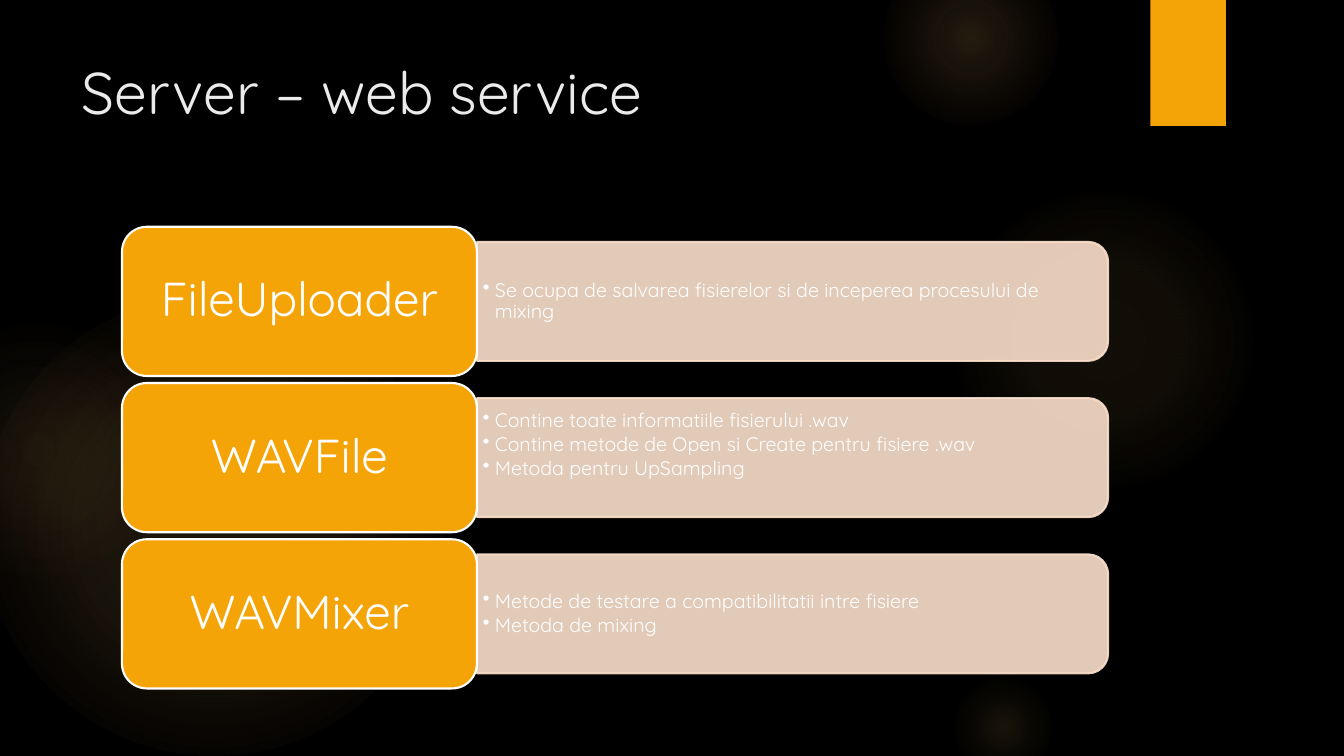
import pptx
import pptx.util
import pptx.dml.color
import pptx.enum.shapes
import pptx.enum.text
import pptx.oxml
import pptx.oxml.ns
from lxml import etree

Inches, Pt = pptx.util.Inches, pptx.util.Pt
SHAPES = pptx.enum.shapes.MSO_SHAPE
ANCHOR, ALIGN = pptx.enum.text.MSO_ANCHOR, pptx.enum.text.PP_ALIGN
FONT = "Quicksand"
COLORS = {"background": "000000", "accent": "F5A408", "panel": "FBE0CC",
          "title": "EBEBEB", "white": "FFFFFF", "glow": "FAC96A", "ember": "F59B74"}

TITLE = "Server – web service"
# Class name, its duties, and extra room kept free below them
CLASSES = [
    ("FileUploader",
     ["Se ocupa de salvarea fisierelor si de inceperea procesului de mixing"], 0),
    ("WAVFile",
     ["Contine toate informatiile fisierului .wav",
      "Contine metode de Open si Create pentru fisiere .wav",
      "Metoda pentru UpSampling"], 0.25),
    ("WAVMixer",
     ["Metode de testare a compatibilitatii intre fisiere", "Metoda de mixing"], 0),
]
# Left, top, diameter, and gradient stops (position %, colour, opacity %)
GLOWS = [
    (-0.17, 2.92, 4.58, [(0, "glow", 11), (36, "glow", 10), (75, "glow", 0)]),
    (-0.92, 3.17, 2.58, [(0, "glow", 8), (36, "glow", 5), (71, "ember", 0)]),
    (9.41, 1.83, 3.08, [(0, "glow", 7), (36, "glow", 6), (69, "glow", 0)]),
    (8.75, -0.5, 1.75, [(0, "glow", 14), (36, "glow", 7), (73, "glow", 0)]),
    (9.41, 6.67, 1.08, [(0, "glow", 10), (31, "glow", 5), (66, "glow", 0)]),
]
LABEL_LEFT, LABEL_TOP, LABEL_WIDTH, LABEL_HEIGHT = 1.21, 2.25, 3.52, 1.48
PANEL_WIDTH, PANEL_HEIGHT = 6.26, 1.18
DUTIES_WIDTH, DUTIES_HEIGHT = 6.2, 1.07
ROW_PITCH = 1.55


def color(name):
    """Return the named colour as an RGBColor."""
    return pptx.dml.color.RGBColor.from_string(COLORS[name])


def add_block(page, kind, left, top, width, height, fill=None, line=None):
    """Add a preset shape without shadow, with optional fill and outline."""
    block = page.shapes.add_shape(kind, Inches(left), Inches(top),
                                  Inches(width), Inches(height))
    block.shadow.inherit = False
    if fill:
        block.fill.solid()
        block.fill.fore_color.rgb = color(fill)
    if line:
        block.line.color.rgb = color(line)
        block.line.width = Pt(1.5)
    else:
        block.line.fill.background()
    return block


def set_opacity(block, percent):
    """Apply one opacity to the fill and outline of a block."""
    for swatch in block.element.spPr.iter(pptx.oxml.ns.qn("a:srgbClr")):
        etree.SubElement(swatch, pptx.oxml.ns.qn("a:alpha"), val=str(percent * 1000))


def add_glow(page, left, top, diameter, stops):
    """Add a circle that fades out from its centre."""
    glow = add_block(page, SHAPES.OVAL, left, top, diameter, diameter)
    stop_xml = "".join(
        f'<a:gs pos="{position * 1000}"><a:srgbClr val="{COLORS[name]}">'
        f'<a:alpha val="{opacity * 1000}"/></a:srgbClr></a:gs>'
        for position, name, opacity in stops)
    gradient = pptx.oxml.parse_xml(
        f'<a:gradFill {pptx.oxml.ns.nsdecls("a")}><a:gsLst>{stop_xml}</a:gsLst>'
        '<a:path path="circle"><a:fillToRect l="50000" t="50000" r="50000" b="50000"/>'
        '</a:path></a:gradFill>')
    glow.element.spPr.find(pptx.oxml.ns.qn("a:prstGeom")).addnext(gradient)


def set_frame(frame, side, edge, anchor, extra_bottom=0):
    """Set wrapping, margins and anchor of a text frame."""
    frame.word_wrap = True
    frame.margin_left = frame.margin_right = Inches(side)
    frame.margin_top = Inches(edge)
    frame.margin_bottom = Inches(edge + extra_bottom)
    frame.vertical_anchor = anchor


def style_text(frame, size, name, align=ALIGN.LEFT, spacing=0.9):
    """Format every paragraph and run of a text frame."""
    for para in frame.paragraphs:
        para.alignment = align
        para.line_spacing = spacing
        for span in para.runs:
            span.font.name = FONT
            span.font.size = Pt(size)
            span.font.color.rgb = color(name)


def add_bullets(frame):
    """Give each paragraph a hanging bullet and a small gap after it."""
    for para in frame.paragraphs:
        para.space_after = Pt(2)
        properties = para._p.get_or_add_pPr()
        properties.set("marL", str(Inches(0.12)))
        properties.set("indent", str(-Inches(0.12)))
        etree.SubElement(properties, pptx.oxml.ns.qn("a:buChar"), char="•")


def add_class_row(page, top, name, duties, extra_bottom):
    """Add one class label with the panel that lists its duties."""
    panel_left = LABEL_LEFT + LABEL_WIDTH
    middle = top + LABEL_HEIGHT / 2
    panel = add_block(page, SHAPES.ROUND_2_SAME_RECTANGLE,
                      panel_left + (PANEL_WIDTH - PANEL_HEIGHT) / 2,
                      middle - PANEL_WIDTH / 2,
                      PANEL_HEIGHT, PANEL_WIDTH, "panel", "panel")
    panel.rotation = 90
    set_opacity(panel, 90)

    box = page.shapes.add_textbox(Inches(panel_left), Inches(middle - DUTIES_HEIGHT / 2),
                                  Inches(DUTIES_WIDTH), Inches(DUTIES_HEIGHT))
    box.text_frame.text = "\n".join(duties)
    set_frame(box.text_frame, 0.06, 0.03, ANCHOR.MIDDLE, extra_bottom)
    style_text(box.text_frame, 14, "white")
    add_bullets(box.text_frame)

    label = add_block(page, SHAPES.ROUNDED_RECTANGLE, LABEL_LEFT, top,
                      LABEL_WIDTH, LABEL_HEIGHT, "accent", "white")
    label.text_frame.text = name
    set_frame(label.text_frame, 0.14, 0.07, ANCHOR.MIDDLE)
    style_text(label.text_frame, 34, "white", ALIGN.CENTER)


deck = pptx.Presentation()
deck.slide_width, deck.slide_height = Inches(13.33), Inches(7.5)
page = deck.slides.add_slide(deck.slide_layouts.get_by_name("Title Only"))
page.background.fill.solid()
page.background.fill.fore_color.rgb = color("background")

for glow in GLOWS:
    add_glow(page, *glow)
add_block(page, SHAPES.RECTANGLE, 11.41, 0, 0.75, 1.25, "accent")

title = page.shapes.title
title.left, title.top = Inches(0.71), Inches(0.5)
title.width, title.height = Inches(10.29), Inches(1.53)
title.text_frame.text = TITLE
set_frame(title.text_frame, 0.1, 0.05, ANCHOR.TOP)
style_text(title.text_frame, 42, "title", spacing=1.0)

for row, (name, duties, extra_bottom) in enumerate(CLASSES):
    add_class_row(page, LABEL_TOP + row * ROW_PITCH, name, duties, extra_bottom)

deck.save("out.pptx")
